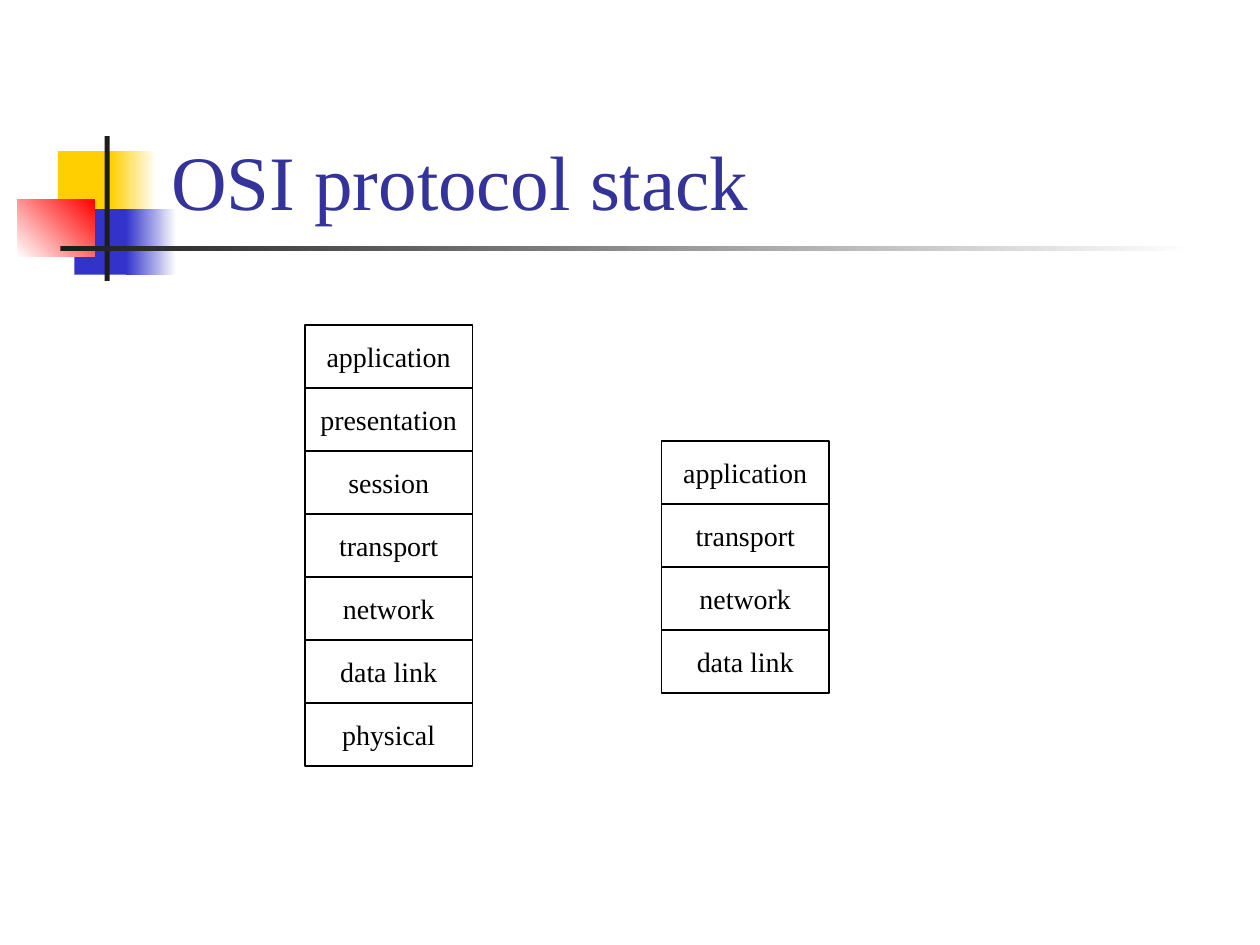
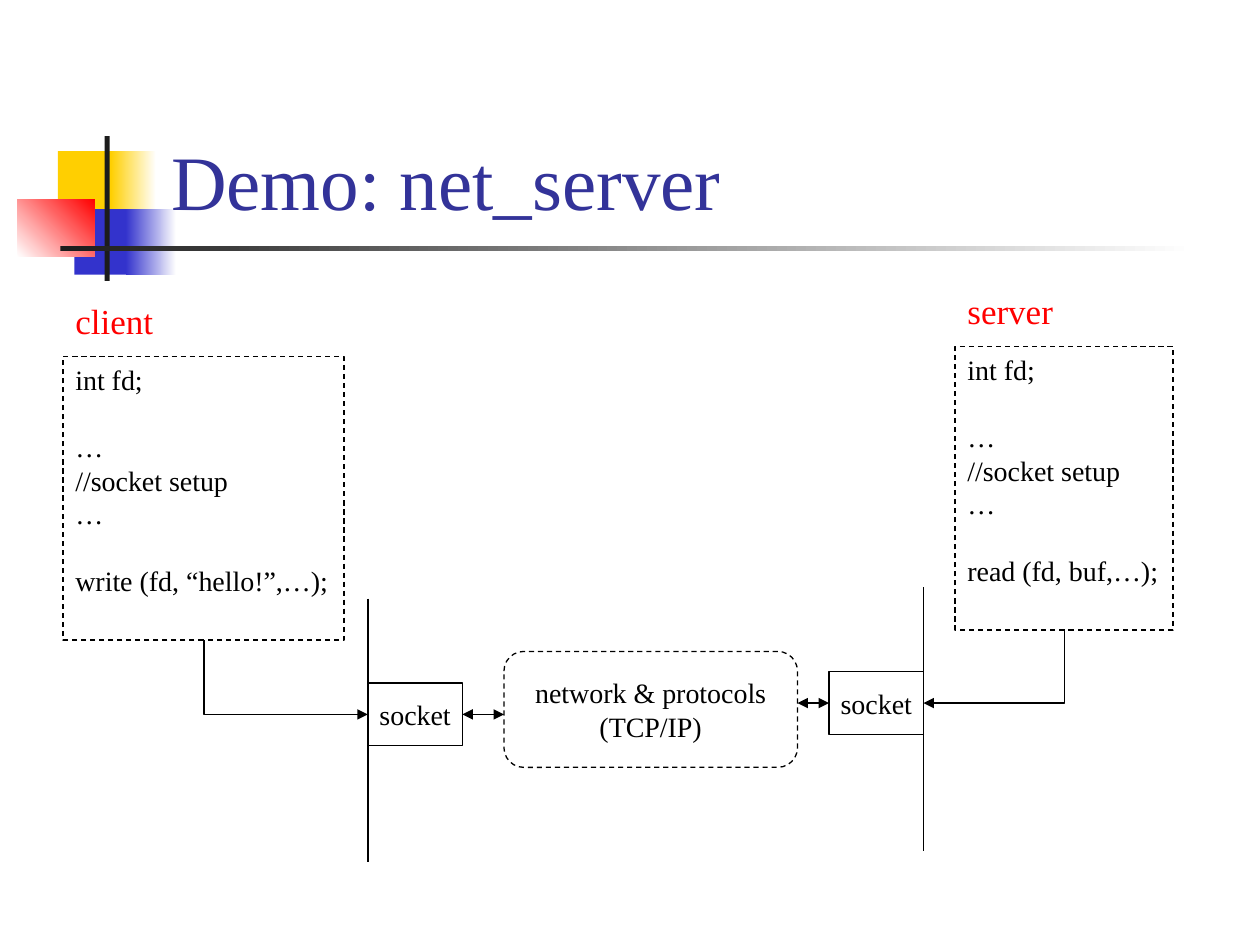
from lxml import etree
from pptx import Presentation
from pptx.dml.color import RGBColor
from pptx.enum.dml import MSO_LINE
from pptx.enum.shapes import MSO_CONNECTOR, MSO_SHAPE
from pptx.enum.text import MSO_ANCHOR, PP_ALIGN
from pptx.oxml.ns import qn
from pptx.util import Inches, Pt

FONT = "Times New Roman"
COLORS = {
    "yellow": "FFCF01",
    "blue": "3333CC",
    "red": "FF0000",
    "white": "FFFFFF",
    "bar": "1C1C1C",
    "title": "333399",
    "ink": "000000",
}
ROW_HEIGHT = 0.5
BLANK_LINE = 19


def color(name):
    return RGBColor.from_string(COLORS[name])


def write_text(shape, text, size=16, color_name="ink", align=PP_ALIGN.LEFT,
               anchor=MSO_ANCHOR.TOP, wrap=False):
    frame = shape.text_frame
    frame.text = text
    frame.word_wrap = wrap
    frame.vertical_anchor = anchor
    for paragraph in frame.paragraphs:
        paragraph.alignment = align
        for run in paragraph.runs:
            run.font.name = FONT
            run.font.size = Pt(size)
            run.font.color.rgb = color(color_name)


def add_label(slide, text, box, size, color_name, anchor=MSO_ANCHOR.TOP):
    label = slide.shapes.add_textbox(*map(Inches, box))
    write_text(label, text, size, color_name, anchor=anchor, wrap=True)


def add_band(slide, box, colors, angle=0):
    band = slide.shapes.add_shape(MSO_SHAPE.RECTANGLE, *map(Inches, box))
    band.shadow.inherit = False
    band.line.fill.background()
    if len(colors) == 1:
        band.fill.solid()
        band.fill.fore_color.rgb = color(colors[0])
        return
    band.fill.gradient()
    band.fill.gradient_angle = angle
    for stop, name, position in zip(band.fill.gradient_stops, colors, (0, 1)):
        stop.color.rgb = color(name)
        stop.position = position


def add_titled_slide(presentation, title):
    slide = presentation.slides.add_slide(presentation.slide_layouts[6])
    add_band(slide, (0.46, 1.2, 0.48, 0.52), ["yellow"])
    add_band(slide, (0.88, 1.2, 0.36, 0.52), ["yellow", "white"])
    add_band(slide, (0.59, 1.66, 0.46, 0.52), ["blue"])
    add_band(slide, (1, 1.66, 0.4, 0.52), ["blue", "white"])
    add_band(slide, (0.14, 1.58, 0.61, 0.46), ["white", "red"], angle=45)
    add_band(slide, (0.83, 1.08, 0.04, 1.15), ["bar"])
    add_band(slide, (0.48, 1.95, 9, 0.04), ["bar", "white"])
    add_label(slide, title, (1.26, 0.24, 8.52, 1.6), 44, "title",
              anchor=MSO_ANCHOR.BOTTOM)
    return slide


def add_box(slide, text, box, kind=MSO_SHAPE.RECTANGLE, dashed=False,
            align=PP_ALIGN.CENTER, anchor=MSO_ANCHOR.MIDDLE):
    shape = slide.shapes.add_shape(kind, *map(Inches, box))
    shape.shadow.inherit = False
    shape.fill.background()
    shape.line.color.rgb = color("ink")
    shape.line.width = Pt(0.75)
    if dashed:
        shape.line.dash_style = MSO_LINE.DASH
    write_text(shape, text, align=align, anchor=anchor)
    return shape


def add_stack(slide, left, top, layers):
    for row, layer in enumerate(layers):
        add_box(slide, layer, (left, top + row * ROW_HEIGHT, 1.33, ROW_HEIGHT))


def add_line(slide, start, end, arrows=(), kind=MSO_CONNECTOR.STRAIGHT):
    line = slide.shapes.add_connector(kind, *map(Inches, (*start, *end)))
    line.line.color.rgb = color("ink")
    line.line.width = Pt(0.75)
    outline = line.line._get_or_add_ln()
    for end_name in arrows:
        etree.SubElement(outline, qn(f"a:{end_name}"), type="triangle")
    etree.SubElement(line._element.spPr, qn("a:effectLst"))
    return line


def add_elbow_arrow(slide, start, end):
    run, drop = end[0] - start[0], end[1] - start[1]
    left = (start[0] + end[0] - drop) / 2
    top = (start[1] + end[1] - abs(run)) / 2
    sides = (left + drop, left) if run > 0 else (left, left + drop)
    arrow = add_line(slide, (sides[0], top), (sides[1], top + abs(run)),
                     ["tailEnd"], MSO_CONNECTOR.ELBOW)
    properties = arrow._element.spPr
    properties.find(qn("a:prstGeom")).set("prst", "bentConnector2")
    quarter_turns = 3 if run > 0 else 1
    properties.find(qn("a:xfrm")).set("rot", str(quarter_turns * 5400000))


def add_program(slide, name, left, top, width, call):
    add_label(slide, name, (left, top - 0.5, 1, 0.43), 20, "red")
    lines = ["int fd;", "…", "//socket setup", "…", call]
    code = add_box(slide, "\n".join(lines), (left, top, width, 2.25),
                   dashed=True, align=PP_ALIGN.LEFT, anchor=MSO_ANCHOR.TOP)
    for index in (1, 4):
        code.text_frame.paragraphs[index].space_before = Pt(BLANK_LINE)


def add_socket(slide, left, top, border):
    add_line(slide, (border, top - 0.67), (border, top + 1.42))
    add_box(slide, "socket", (left, top, 0.75, ROW_HEIGHT))


def build_protocol_stack(presentation):
    slide = add_titled_slide(presentation, "OSI protocol stack")
    add_stack(slide, 2.42, 2.58, ["application", "presentation", "session",
                                  "transport", "network", "data link", "physical"])
    add_stack(slide, 5.25, 3.5, ["application", "transport", "network", "data link"])


def build_net_server(presentation):
    slide = add_titled_slide(presentation, "Demo: net_server")
    add_socket(slide, 2.92, 5.42, border=2.92)
    add_socket(slide, 6.58, 5.33, border=7.33)
    network = add_box(slide, "network & protocols\n(TCP/IP)", (4, 5.17, 2.33, 0.92),
                      MSO_SHAPE.ROUNDED_RECTANGLE, dashed=True)
    network.adjustments[0] = 0.17
    both_ends = ["headEnd", "tailEnd"]
    add_line(slide, (3.67, 5.67), (4, 5.67), both_ends)
    add_line(slide, (6.58, 5.58), (6.33, 5.58), both_ends)
    add_program(slide, "client", 0.5, 2.83, 2.23, "write (fd, “hello!”,…);")
    add_program(slide, "server", 7.58, 2.75, 1.73, "read (fd, buf,…);")
    add_elbow_arrow(slide, (1.62, 5.08), (2.92, 5.67))
    add_elbow_arrow(slide, (8.45, 5), (7.33, 5.58))


def main():
    presentation = Presentation()
    presentation.slide_width = Inches(10)
    presentation.slide_height = Inches(7.5)
    build_protocol_stack(presentation)
    build_net_server(presentation)
    presentation.save("out.pptx")


if __name__ == "__main__":
    main()
